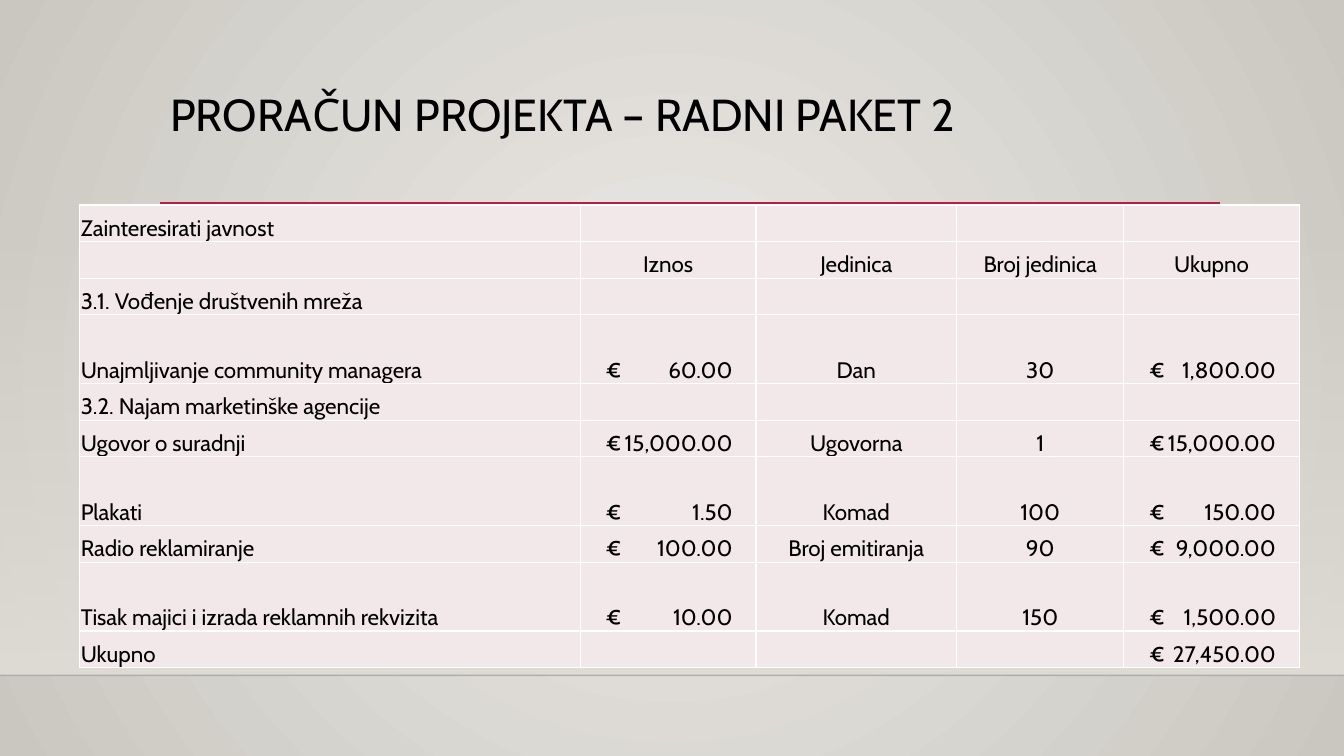
from lxml.etree import SubElement
from pptx import Presentation
from pptx.dml.color import RGBColor
from pptx.enum.shapes import MSO_CONNECTOR, MSO_SHAPE
from pptx.enum.text import MSO_ANCHOR, PP_ALIGN
from pptx.oxml.ns import qn
from pptx.util import Inches, Pt

COLS, ROWS = 160, 90  # square grid, 12 units to the inch


def rgb(value):
    return RGBColor.from_string(value)


def units(n):
    return Inches(n / 12)


def apply(target, formats):
    for name, value in formats.items():
        setattr(target, name, value)


def add(parent, tag, **attrs):
    return SubElement(parent, qn(tag), attrs)


class BudgetSlide:
    font = "Cabin"
    ink = "000000"
    cell_fill = "F3E8E9"
    border = "FFFFFF"

    def __init__(self, prs):
        self.s = prs.slides.add_slide(prs.slide_layouts[6])

    def gradient(self, fill, colors):
        fill.gradient()
        for stop, color in zip(fill.gradient_stops, colors):
            stop.color.rgb = rgb(color)

    def background(self, inner, outer):
        self.gradient(self.s.background.fill, (inner, outer))
        grad = next(self.s._element.iter(qn("a:gradFill")))
        grad.remove(grad.find(qn("a:lin")))
        circle = add(grad, "a:path", path="circle")
        add(circle, "a:fillToRect", l="50000", t="50000", r="50000", b="50000")

    def fading_band(self, x, y, w, h, color):
        sp = self.s.shapes.add_shape(MSO_SHAPE.RECTANGLE, *map(units, (x, y, w, h)))
        sp.shadow.inherit = False
        sp.line.fill.background()
        self.gradient(sp.fill, (color, color))
        sp.fill.gradient_angle = 270
        add(next(sp._element.iter(qn("a:srgbClr"))), "a:alpha", val="0")

    def rule(self, x1, x2, y, color, width, opacity=100):
        line = self.s.shapes.add_connector(
            MSO_CONNECTOR.STRAIGHT, *map(units, (x1, y, x2, y)))
        line.line.width = Pt(width)
        line.line.color.rgb = rgb(color)
        if opacity < 100:
            add(next(line._element.iter(qn("a:srgbClr"))), "a:alpha",
                val=str(opacity * 1000))
        add(line._element.spPr, "a:effectLst")

    def text(self, tf, words, size, **formats):
        p = tf.paragraphs[0]
        apply(p, formats)
        r = p.add_run()
        r.text = words
        apply(r.font, {"name": self.font, "size": Pt(size)})
        r.font.color.rgb = rgb(self.ink)
        return p

    def title(self, x, y, w, h, words):
        tf = self.s.shapes.add_textbox(*map(units, (x, y, w, h))).text_frame
        tf.word_wrap = True
        self.text(tf, words, 32, line_spacing=0.9)

    def cell(self, cell, words, align):
        apply(cell, {"vertical_anchor": MSO_ANCHOR.BOTTOM,
                     "margin_left": Inches(0.01), "margin_right": Inches(0.01),
                     "margin_top": Inches(0.01), "margin_bottom": 0})
        cell.fill.solid()
        cell.fill.fore_color.rgb = rgb(self.cell_fill)
        tcPr = cell._tc.get_or_add_tcPr()
        for i, side in enumerate(("a:lnL", "a:lnR", "a:lnT", "a:lnB")):
            ln = add(tcPr, side, w=str(Pt(1)))
            add(add(ln, "a:solidFill"), "a:srgbClr", val=self.border)
            tcPr.insert(i, ln)
        if words.startswith("€"):
            # Currency sign on the left, digits against a right tab
            cell.margin_left = Inches(0.25)
            p = self.text(cell.text_frame, words.replace(" ", "\t"), 16,
                          alignment=PP_ALIGN.LEFT)
            tabs = add(p._p.get_or_add_pPr(), "a:tabLst")
            add(tabs, "a:tab", pos=str(Inches(1.26)), algn="r")
        elif words:
            self.text(cell.text_frame, words, 16, alignment=align)

    def table(self, x, y, widths, heights, rows):
        frame = self.s.shapes.add_table(
            len(rows), len(widths),
            *map(units, (x, y, sum(widths), sum(heights))))
        table = frame.table
        apply(table, {"first_row": False, "horz_banding": False})
        for col, width in zip(table.columns, widths):
            col.width = units(width)
        for row, height, texts in zip(table.rows, heights, rows):
            row.height = units(height)
            for j, cell in enumerate(row.cells):
                words = texts[j] if j < len(texts) else ""
                self.cell(cell, words, PP_ALIGN.CENTER if j else PP_ALIGN.LEFT)


LOW, TALL = 4.36, 8.2
BUDGET = [
    (LOW, ["Zainteresirati javnost"]),
    (LOW, ["", "Iznos", "Jedinica", "Broj jedinica", "Ukupno"]),
    (LOW, ["3.1. Vođenje društvenih mreža"]),
    (TALL, ["Unajmljivanje community managera", "€ 60.00", "Dan", "30", "€ 1,800.00"]),
    (LOW, ["3.2. Najam marketinške agencije"]),
    (LOW, ["Ugovor o suradnji", "€ 15,000.00", "Ugovorna", "1", "€ 15,000.00"]),
    (TALL, ["Plakati", "€ 1.50", "Komad", "100", "€ 150.00"]),
    (LOW, ["Radio reklamiranje", "€ 100.00", "Broj emitiranja", "90", "€ 9,000.00"]),
    (TALL, ["Tisak majici i izrada reklamnih rekvizita", "€ 10.00", "Komad", "150",
            "€ 1,500.00"]),
    (LOW, ["Ukupno", "", "", "", "€ 27,450.00"]),
]


def main():
    prs = Presentation()
    apply(prs, {"slide_width": units(COLS), "slide_height": units(ROWS)})
    slide = BudgetSlide(prs)

    # Backdrop and floor line
    slide.background("ECEAE7", "CAC7C1")
    slide.fading_band(0, 26.5, COLS, 53.9, "DFDBD5")
    slide.rule(0, COLS, 80.4, "000001", 1, opacity=20)

    # Title with its underline
    slide.rule(19.1, 145.2, 24.2, "B71E42", 2.5)
    slide.title(19.1, 10.5, 126, 13.8, "PRORAČUN PROJEKTA – RADNI PAKET 2")

    # Budget table
    heights, rows = zip(*BUDGET)
    slide.table(9.5, 24.4, [59.6, 20.9, 23.9, 19.9, 20.9], heights, rows)
    prs.save("out.pptx")


if __name__ == "__main__":
    main()
